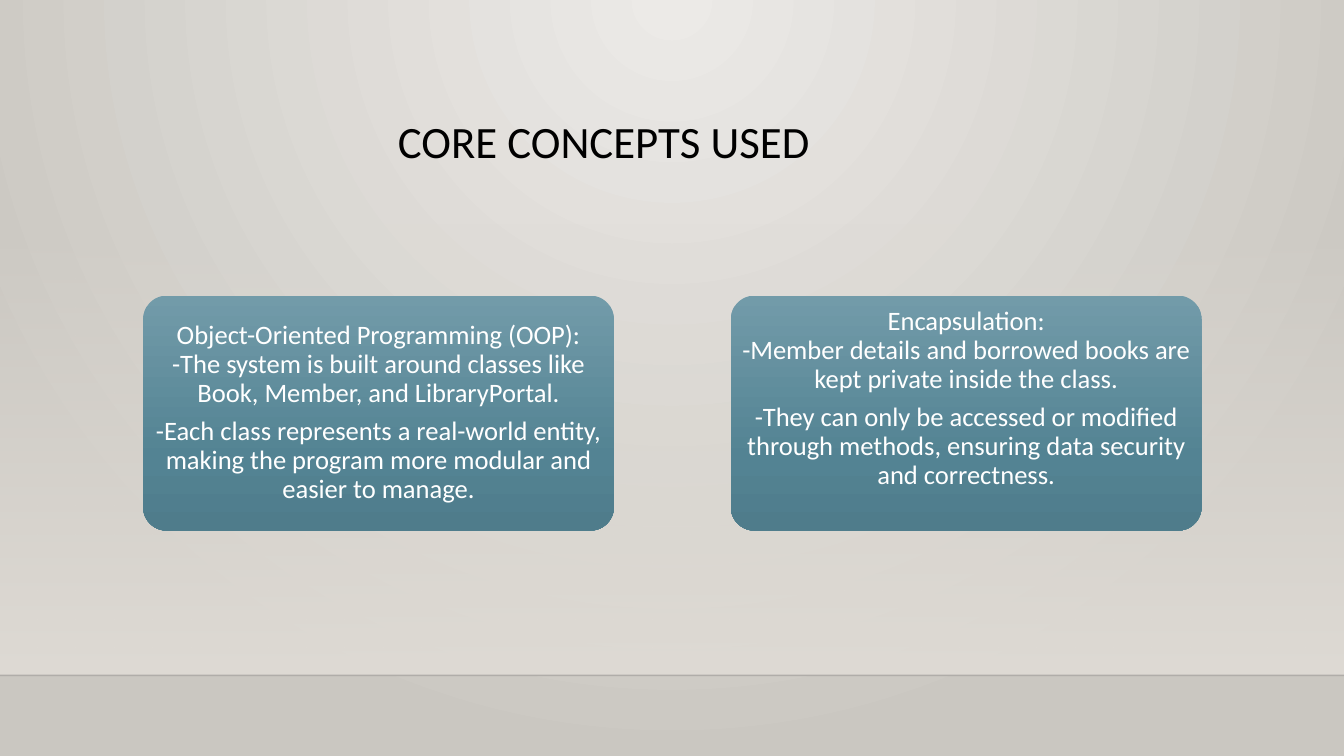
from dataclasses import dataclass

import pptx
import pptx.dml.color
import pptx.enum.shapes
import pptx.enum.text
import pptx.oxml
import pptx.oxml.ns
import pptx.util
from lxml import etree
from pptx.util import Cm

qn = pptx.oxml.ns.qn


@dataclass(frozen=True)
class Theme:
    font: str = "Calibri"
    title_size: int = 32
    card_size: int = 19
    title_color: str = "000000"
    card_text: str = "FFFFFF"
    horizon: str = "000001"
    # Gradient stops: position in percent, colour, opacity in percent
    backdrop: tuple = ((0, "ECEAE7", 100), (100, "CAC7C1", 100))
    haze: tuple = ((0, "DFDBD5", 0), (100, "DFDBD5", 100))
    card: tuple = ((0, "729BA9", 100), (69, "538393", 100), (100, "4F7C8B", 100))


THEME = Theme()
SLIDE_WIDTH, SLIDE_HEIGHT = Cm(33.87), Cm(19.05)
HORIZON_TOP = Cm(17.02)
DOWNWARD = '<a:lin ang="5400000" scaled="0"/>'
FROM_TOP_CENTRE = ('<a:path path="circle">'
                   '<a:fillToRect l="43000" t="0" r="43000" b="100000"/></a:path>')

CARD_LEFT, CARD_TOP = Cm(3.61), Cm(7.45)
CARD_WIDTH, CARD_HEIGHT = Cm(11.86), Cm(5.92)
CARD_PITCH = Cm(14.81)
CARDS = (
    # Paragraphs, bottom inset
    (("Object-Oriented Programming (OOP):\v"
      "-The system is built around classes like Book, Member, and LibraryPortal.",
      "-Each class represents a real-world entity, making the program more "
      "modular and easier to manage."), Cm(0.08)),
    (("Encapsulation:\v"
      "-Member details and borrowed books are kept private inside the class.",
      "-They can only be accessed or modified through methods, ensuring data "
      "security and correctness."), Cm(0.8)),
)


def set_gradient(fill, properties, stops, direction):
    """Replace the fill held by the given properties element with a gradient."""
    fill.solid()
    stop_list = "".join(
        f'<a:gs pos="{position * 1000}"><a:srgbClr val="{color}">'
        f'<a:alpha val="{opacity * 1000}"/></a:srgbClr></a:gs>'
        for position, color, opacity in stops)
    gradient = pptx.oxml.parse_xml(
        f'<a:gradFill {pptx.oxml.ns.nsdecls("a")} rotWithShape="1">'
        f'<a:gsLst>{stop_list}</a:gsLst>{direction}</a:gradFill>')
    properties.replace(properties.find(qn("a:solidFill")), gradient)


def style_paragraph(paragraph, size, color):
    paragraph.line_spacing = 0.9
    paragraph.font.name = THEME.font
    paragraph.font.size = pptx.util.Pt(size)
    paragraph.font.color.rgb = pptx.dml.color.RGBColor.from_string(color)


def add_gradient_shape(slide, kind, left, top, width, height, stops):
    shape = slide.shapes.add_shape(kind, left, top, width, height)
    shape.shadow.inherit = False
    set_gradient(shape.fill, shape.element.spPr, stops, DOWNWARD)
    shape.line.fill.background()
    return shape


def add_horizon(slide):
    line = slide.shapes.add_connector(
        pptx.enum.shapes.MSO_CONNECTOR.STRAIGHT, 0, HORIZON_TOP, SLIDE_WIDTH, HORIZON_TOP)
    line.line.width = pptx.util.Pt(1)
    line.line.color.rgb = pptx.dml.color.RGBColor.from_string(THEME.horizon)
    properties = line.element.spPr
    color = properties.find(".//" + qn("a:srgbClr"))
    etree.SubElement(color, qn("a:alpha"), val="20000")
    etree.SubElement(properties, qn("a:effectLst"))


def add_title(slide, text):
    left = Cm(9.78)
    title = slide.shapes.add_textbox(left, Cm(2.9), SLIDE_WIDTH - left, Cm(2.92))
    title.text_frame.word_wrap = True
    paragraph = title.text_frame.paragraphs[0]
    paragraph.text = text
    style_paragraph(paragraph, THEME.title_size, THEME.title_color)


def add_card(slide, left, texts, bottom_inset):
    card = add_gradient_shape(
        slide, pptx.enum.shapes.MSO_SHAPE.ROUNDED_RECTANGLE,
        left, CARD_TOP, CARD_WIDTH, CARD_HEIGHT, THEME.card)
    card.adjustments[0] = 0.1
    frame = card.text_frame
    frame.word_wrap = True
    frame.vertical_anchor = pptx.enum.text.MSO_ANCHOR.MIDDLE
    frame.margin_left = frame.margin_right = Cm(0.1)
    frame.margin_top, frame.margin_bottom = Cm(0.08), bottom_inset
    for index, text in enumerate(texts):
        paragraph = frame.add_paragraph() if index else frame.paragraphs[0]
        paragraph.text = text
        paragraph.alignment = pptx.enum.text.PP_ALIGN.CENTER
        if index:
            paragraph.space_before = pptx.util.Pt(7)
        style_paragraph(paragraph, THEME.card_size, THEME.card_text)


def main():
    presentation = pptx.Presentation()
    presentation.slide_width, presentation.slide_height = SLIDE_WIDTH, SLIDE_HEIGHT
    slide = presentation.slides.add_slide(presentation.slide_layouts[6])

    background_fill = slide.background.fill
    set_gradient(background_fill, slide.element.find(".//" + qn("p:bgPr")),
                 THEME.backdrop, FROM_TOP_CENTRE)
    haze_top = Cm(5.61)
    add_gradient_shape(slide, pptx.enum.shapes.MSO_SHAPE.RECTANGLE, 0, haze_top,
                       SLIDE_WIDTH, HORIZON_TOP - haze_top, THEME.haze)
    add_horizon(slide)
    add_title(slide, "CORE CONCEPTS USED")
    for index, (texts, bottom_inset) in enumerate(CARDS):
        add_card(slide, CARD_LEFT + index * CARD_PITCH, texts, bottom_inset)

    presentation.save("out.pptx")


if __name__ == "__main__":
    main()
